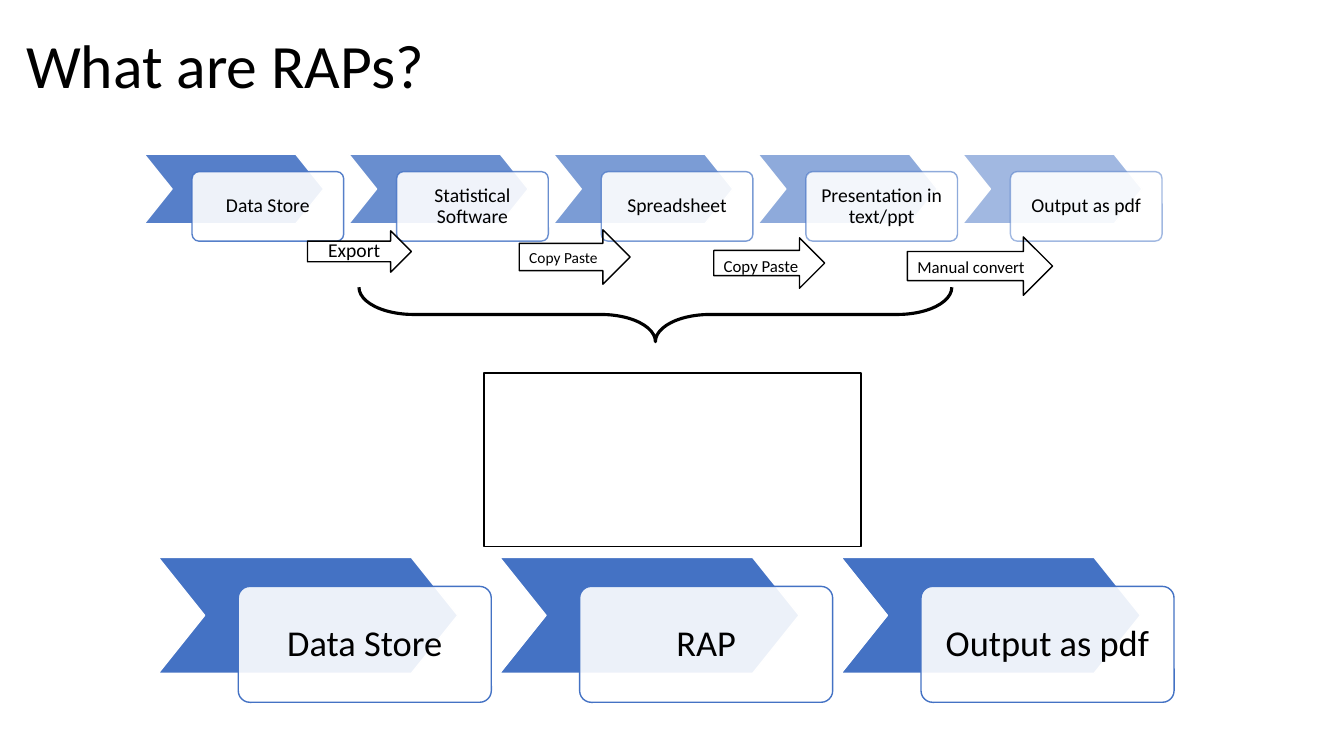
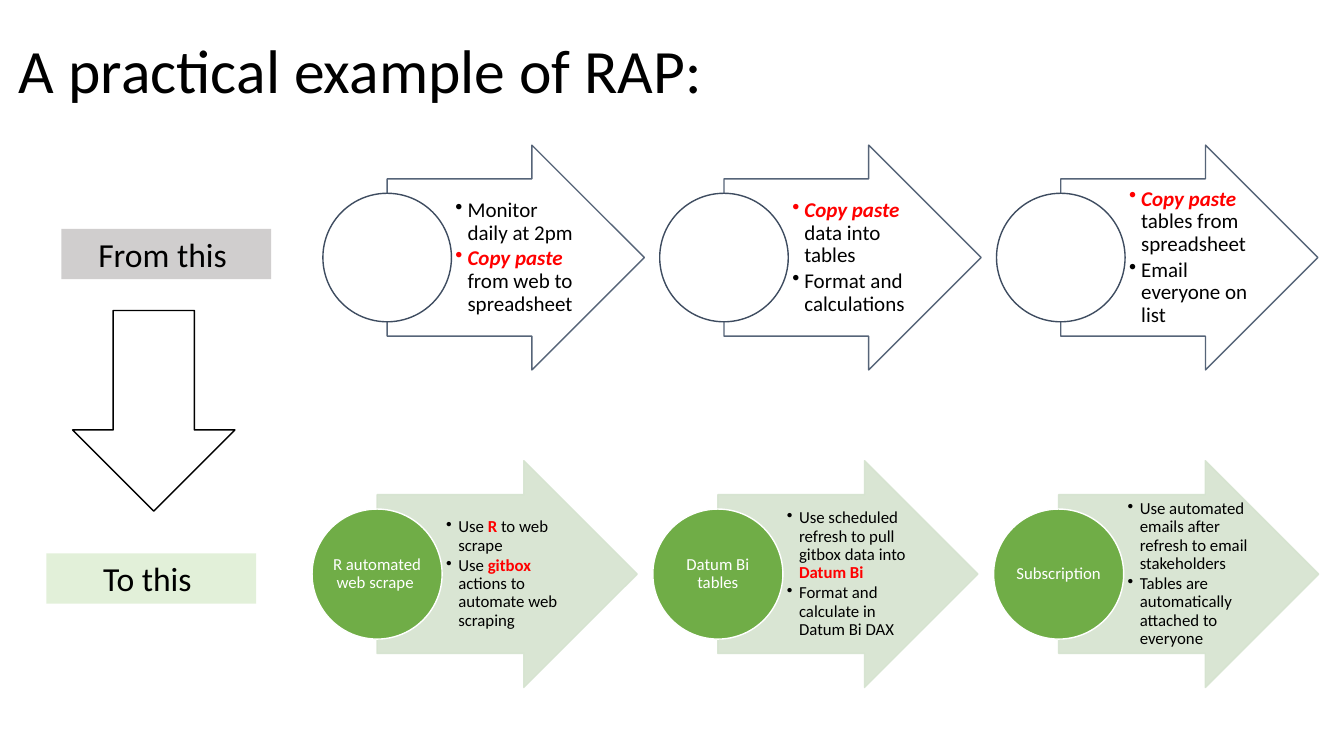
from pptx import Presentation
from pptx.dml.color import RGBColor
from pptx.enum.shapes import MSO_SHAPE as Preset
from pptx.enum.text import MSO_ANCHOR as Anchor, PP_ALIGN as Align
from pptx.oxml.ns import qn
from pptx.oxml.xmlchemy import OxmlElement
from pptx.util import Inches, Pt

FONT = "Calibri"
BLACK = RGBColor(0x00, 0x00, 0x00)
WHITE = RGBColor(0xFF, 0xFF, 0xFF)
RED = RGBColor(0xFF, 0x00, 0x00)
BLUE = RGBColor(0x44, 0x72, 0xC4)
SLATE = RGBColor(0x44, 0x54, 0x6A)
DARK_SLATE = RGBColor(0x3E, 0x4C, 0x60)
GREEN = RGBColor(0x70, 0xAD, 0x47)
SAGE = RGBColor(0xD5, 0xE3, 0xCF)
PALE_GREEN = RGBColor(0xE2, 0xF0, 0xD9)
GREY = RGBColor(0xD0, 0xCE, 0xCE)

MANUAL_STAGES = [
    ["Monitor daily at 2pm", "*Copy paste *from web to spreadsheet"],
    ["*Copy paste *data into tables", "Format and calculations"],
    ["*Copy paste *tables from spreadsheet", "Email everyone on list"],
]
AUTOMATED_STAGES = [
    ["Use *R* to web scrape", "Use *gitbox* actions to automate web scraping"],
    ["Use scheduled refresh to pull gitbox data into *Datum Bi*",
     "Format and calculate in Datum Bi DAX"],
    ["Use automated emails after refresh to email stakeholders",
     "Tables are automatically attached to everyone"],
]
AUTOMATED_NAMES = ["R automated web scrape ", "Datum Bi tables", "Subscription"]


def set_alpha(solid_fill, percent):
    """Make a solid fill partly transparent."""
    alpha = OxmlElement("a:alpha")
    alpha.set("val", str(percent * 1000))
    solid_fill[0].append(alpha)


def add_preset(slide, preset, box, fill=None, line=None, width=1, adjust=(),
               fill_alpha=100, line_alpha=100):
    """Add a flat preset shape with the given fill and outline."""
    shape = slide.shapes.add_shape(preset, *map(Inches, box))
    shape.shadow.inherit = False
    for index, value in enumerate(adjust):
        shape.adjustments[index] = value
    properties = shape._element.spPr
    if fill is None:
        shape.fill.background()
    else:
        shape.fill.solid()
        shape.fill.fore_color.rgb = fill
        if fill_alpha < 100:
            set_alpha(properties.find(qn("a:solidFill")), fill_alpha)
    if line is None:
        shape.line.fill.background()
    else:
        shape.line.color.rgb = line
        shape.line.width = Pt(width)
        if line_alpha < 100:
            set_alpha(properties.find(qn("a:ln")).find(qn("a:solidFill")), line_alpha)
    return shape


def style_paragraph(paragraph, size, color=BLACK, align=Align.LEFT, spacing=None):
    """Set the font and layout of a paragraph."""
    paragraph.font.name = FONT
    paragraph.font.size = Pt(size)
    paragraph.font.color.rgb = color
    paragraph.alignment = align
    paragraph.line_spacing = spacing


def write_text(shape, text, size, color=BLACK, align=Align.LEFT, spacing=None,
               anchor=Anchor.MIDDLE, margins=(0.1, 0.05)):
    """Write one paragraph into a shape."""
    frame = shape.text_frame
    frame.word_wrap = True
    frame.vertical_anchor = anchor
    frame.margin_left = frame.margin_right = Inches(margins[0])
    frame.margin_top = frame.margin_bottom = Inches(margins[1])
    frame.paragraphs[0].text = text
    style_paragraph(frame.paragraphs[0], size, color, align, spacing)


def add_title(slide, text, left, top):
    """Add the slide title."""
    title = slide.shapes.add_textbox(*map(Inches, (left, top, 11.5, 1.45)))
    write_text(title, text, 44, spacing=0.9)


def add_process(slide, box, names, size, margin, fade=0):
    """Add a row of chevrons with name cards, the first chevron filling the box."""
    left, top, width, height = box
    for index, name in enumerate(names):
        alpha = 100 - fade * (index + 1)
        x = left + index * 1.14 * width
        add_preset(slide, Preset.CHEVRON, (x, top, width, height), BLUE, WHITE,
                   adjust=[0.4], fill_alpha=alpha)
        card_box = (x + 0.267 * width, top + 0.25 * height, 0.845 * width, height)
        card = add_preset(slide, Preset.ROUNDED_RECTANGLE, card_box, WHITE, BLUE,
                          adjust=[0.1], fill_alpha=90, line_alpha=alpha)
        write_text(card, name, size, align=Align.CENTER, spacing=0.9,
                   margins=(margin, margin))


def add_bullets(slide, box, items, size, italic):
    """Add a bulleted list whose starred parts are red and bold."""
    frame = slide.shapes.add_textbox(*map(Inches, box)).text_frame
    frame.word_wrap = True
    frame.vertical_anchor = Anchor.MIDDLE
    frame.margin_left, frame.margin_right = Inches(0.04), Inches(0.02)
    frame.margin_top = frame.margin_bottom = Inches(0.01)
    for index, item in enumerate(items):
        paragraph = frame.add_paragraph() if index else frame.paragraphs[0]
        properties = paragraph._p.get_or_add_pPr()
        properties.set("marL", str(Inches(0.12)))
        properties.set("indent", str(Inches(-0.12)))
        bullet = OxmlElement("a:buChar")
        bullet.set("char", "•")
        properties.append(bullet)
        style_paragraph(paragraph, size, spacing=0.9)
        paragraph.space_after = Pt(0.15 * size)
        for part, text in enumerate(item.split("*")):
            if text:
                run = paragraph.add_run()
                run.text = text
                if part % 2:
                    run.font.color.rgb = RED
                    run.font.bold = True
                    run.font.italic = italic


def add_stages(slide, box, stages, names, size, arrow_colors, circle_colors, italic=False):
    """Add a row of arrows with circles and lists, the first arrow filling the box."""
    left, top, width, height = box
    diameter = width / 2
    for index, (items, name) in enumerate(zip(stages, names)):
        x = left + index * 1.31 * width
        add_preset(slide, Preset.RIGHT_ARROW, (x, top, width, height), *arrow_colors,
                   adjust=[0.7, 0.5], fill_alpha=90, line_alpha=90)
        list_box = (x + 0.25 * width, top + 0.15 * height, 0.487 * width, 0.7 * height)
        add_bullets(slide, list_box, items, size, italic)
        circle_box = (x - diameter / 2, top + (height - diameter) / 2, diameter, diameter)
        circle = add_preset(slide, Preset.OVAL, circle_box, *circle_colors)
        if name:
            write_text(circle, name, size, WHITE, Align.CENTER, 0.9, margins=(0.01, 0.01))


def add_step_arrows(slide):
    """Add the arrows that name the manual steps."""
    export = add_preset(slide, Preset.RIGHT_ARROW, (3.05, 2.29, 1.03, 0.41), line=BLACK)
    write_text(export, "Export", 14, align=Align.CENTER, spacing=0.9, margins=(0, 0))
    steps = [
        ("Copy Paste", 11, (5.15, 2.28, 1.1, 0.54)),
        ("Copy Paste", 12, (7.08, 2.36, 1.1, 0.5)),
        ("Manual convert", 12, (9, 2.35, 1.44, 0.58)),
    ]
    for text, size, box in steps:
        arrow = add_preset(slide, Preset.RIGHT_ARROW, box, line=BLACK)
        write_text(arrow, text, size, anchor=Anchor.TOP)


def build_definition(slide):
    """Build the slide that compares the manual process with a RAP."""
    add_process(slide, (1.43, 1.53, 1.78, 0.69),
                ["Data Store", "Statistical Software", "Spreadsheet",
                 "Presentation in text/ppt", "Output as pdf"], 14, 0.11, fade=10)
    add_title(slide, "What are RAPs?", 0.16, -0.05)
    add_process(slide, (1.57, 5.53, 2.97, 1.15),
                ["Data Store", "RAP", "Output as pdf"], 26, 0.2)
    brace = add_preset(slide, Preset.RIGHT_BRACE, (6.23, 0.18, 0.54, 5.88),
                       line=BLACK, width=2.25, adjust=[1, 0.5])
    brace.rotation = 90
    add_step_arrows(slide)
    add_preset(slide, Preset.RECTANGLE, (4.8, 3.7, 3.74, 1.72), WHITE, BLACK)


def build_example(slide):
    """Build the slide with the process before and after automation."""
    add_title(slide, "A practical example of RAP:", 0.09, 0)
    add_stages(slide, (3.84, 1.44, 2.55, 2.23), MANUAL_STAGES, [""] * 3, 15,
               (WHITE, SLATE), (WHITE, DARK_SLATE), italic=True)
    add_stages(slide, (3.74, 4.57, 2.58, 2.25), AUTOMATED_STAGES, AUTOMATED_NAMES, 12,
               (SAGE, SAGE), (GREEN, WHITE))
    for text, left, top, fill in [("From this ", 0.61, 2.27, GREY),
                                  ("To this ", 0.46, 5.49, PALE_GREEN)]:
        label = add_preset(slide, Preset.RECTANGLE, (left, top, 2.08, 0.5), fill)
        write_text(label, text, 24, align=Align.CENTER, anchor=Anchor.TOP)
    add_preset(slide, Preset.DOWN_ARROW, (0.72, 3.08, 1.61, 1.99), line=BLACK)


def main():
    """Create the presentation and save it."""
    presentation = Presentation()
    presentation.slide_width = Inches(13.33)
    presentation.slide_height = Inches(7.5)
    for build in (build_definition, build_example):
        build(presentation.slides.add_slide(presentation.slide_layouts[6]))
    presentation.save("out.pptx")


if __name__ == "__main__":
    main()
